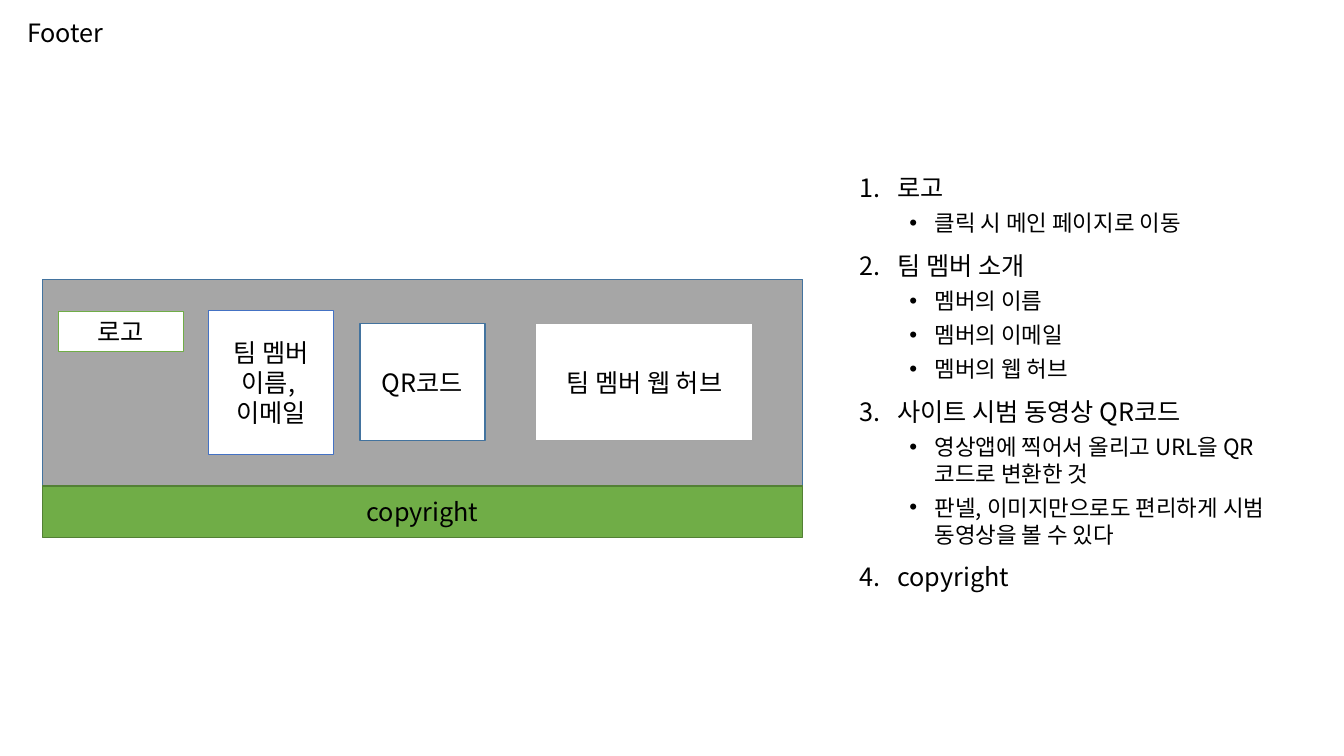
from dataclasses import dataclass

from lxml import etree
from pptx import Presentation
from pptx.dml.color import RGBColor
from pptx.enum import shapes, text
from pptx.oxml import ns
from pptx.util import Inches, Pt


@dataclass(frozen=True)
class Theme:
    font: str = "Noto Sans CJK KR"
    ink: str = "000000"
    white: str = "FFFFFF"
    gray: str = "A6A6A6"
    edge: str = "A5A5A5"
    navy: str = "43739E"
    blue: str = "4472C4"
    green: str = "70AD47"
    moss: str = "538035"
    main: int = 18
    sub: int = 16


def write(para, words, theme, size, align=None, before=0, line=1.0):
    """Put words into a paragraph with the given format."""
    para.alignment = align
    para.space_before = Pt(before)
    para.line_spacing = line
    run = para.add_run()
    run.text = words
    run.font.size = Pt(size)
    run.font.color.rgb = RGBColor.from_string(theme.ink)
    run.font.name = theme.font
    east = etree.SubElement(run.font._element, ns.qn("a:ea"))
    east.set("typeface", theme.font)


def mark(para, left, hang, tag, **attrs):
    """Give a paragraph its indent and bullet."""
    props = para._p.get_or_add_pPr()
    props.set("marL", str(Inches(left)))
    props.set("indent", str(-Inches(hang)))
    face = etree.SubElement(props, ns.qn("a:buFont"))
    face.set("typeface", "Arial" if tag == "a:buChar" else "+mj-lt")
    etree.SubElement(props, ns.qn(tag), attrs)


class Page:
    def __init__(self, deck, theme):
        self.theme = theme
        self.slide = deck.slides.add_slide(deck.slide_layouts[1])

    def hold(self, index, box):
        """Place a template placeholder and return its text frame."""
        item = self.slide.placeholders[index]
        item.left, item.top, item.width, item.height = map(Inches, box)
        frame = item.text_frame
        frame.word_wrap = True
        frame.auto_size = text.MSO_AUTO_SIZE.NONE
        frame.vertical_anchor = text.MSO_ANCHOR.MIDDLE
        return frame

    def title(self, words, box):
        para = self.hold(0, box).paragraphs[0]
        write(para, words, self.theme, self.theme.main,
              align=text.PP_ALIGN.LEFT, line=0.9)

    def outline(self, items, box):
        frame = self.hold(1, box)
        rows = [(level, words) for head, subs in items
                for level, words in [(0, head)] + [(1, sub) for sub in subs]]
        for i, (level, words) in enumerate(rows):
            para = frame.add_paragraph() if i else frame.paragraphs[0]
            para.level = level
            if level:
                write(para, words, self.theme, self.theme.sub, before=5)
                mark(para, 0.75, 0.25, "a:buChar", char="•")
            else:
                write(para, words, self.theme, self.theme.main, before=10)
                mark(para, 0.38, 0.38, "a:buAutoNum", type="arabicPeriod")

    def block(self, box, fill, line, lines=()):
        rect = self.slide.shapes.add_shape(
            shapes.MSO_SHAPE.RECTANGLE, *map(Inches, box))
        rect.shadow.inherit = False
        rect.fill.solid()
        rect.fill.fore_color.rgb = RGBColor.from_string(fill)
        rect.line.color.rgb = RGBColor.from_string(line)
        rect.line.width = Pt(1)
        frame = rect.text_frame
        frame.word_wrap = True
        frame.vertical_anchor = text.MSO_ANCHOR.MIDDLE
        for i, words in enumerate(lines):
            para = frame.add_paragraph() if i else frame.paragraphs[0]
            write(para, words, self.theme, self.theme.main,
                  align=text.PP_ALIGN.CENTER)


def main():
    deck = Presentation()
    deck.slide_width, deck.slide_height = Inches(13.33), Inches(7.5)
    theme = Theme()
    page = Page(deck, theme)

    # Title and notes on each part
    page.title("Footer", (0.17, 0.1, 4.47, 0.48))
    page.outline([
        ("로고", ["클릭 시 메인 페이지로 이동"]),
        ("팀 멤버 소개", ["멤버의 이름", "멤버의 이메일", "멤버의 웹 허브"]),
        ("사이트 시범 동영상 QR코드", [
            "영상앱에 찍어서 올리고 URL을 QR 코드로 변환한 것",
            "판넬, 이미지만으로도 편리하게 시범 동영상을 볼 수 있다"]),
        ("copyright", []),
    ], (8.42, 0.51, 4.37, 6.56))

    # Footer area
    left, top, wide, high = 0.42, 2.77, 7.54, 2.05
    page.block((left, top, wide, high), theme.gray, theme.navy)

    # Parts inside the footer
    for box, line, lines in [
        ((0.58, 3.09, 1.24, 0.4), theme.green, ["로고"]),
        ((2.07, 3.08, 1.24, 1.43), theme.blue, ["팀 멤버", "이름, ", "이메일"]),
        ((3.57, 3.21, 1.24, 1.16), theme.navy, ["QR코드"]),
        ((5.31, 3.21, 2.16, 1.16), theme.edge, ["팀 멤버 웹 허브"]),
    ]:
        page.block(box, theme.white, line, lines)

    # Copyright bar below the area
    page.block((left, top + high, wide, 0.51), theme.green, theme.moss,
               ["copyright"])

    deck.save("out.pptx")


if __name__ == "__main__":
    main()
